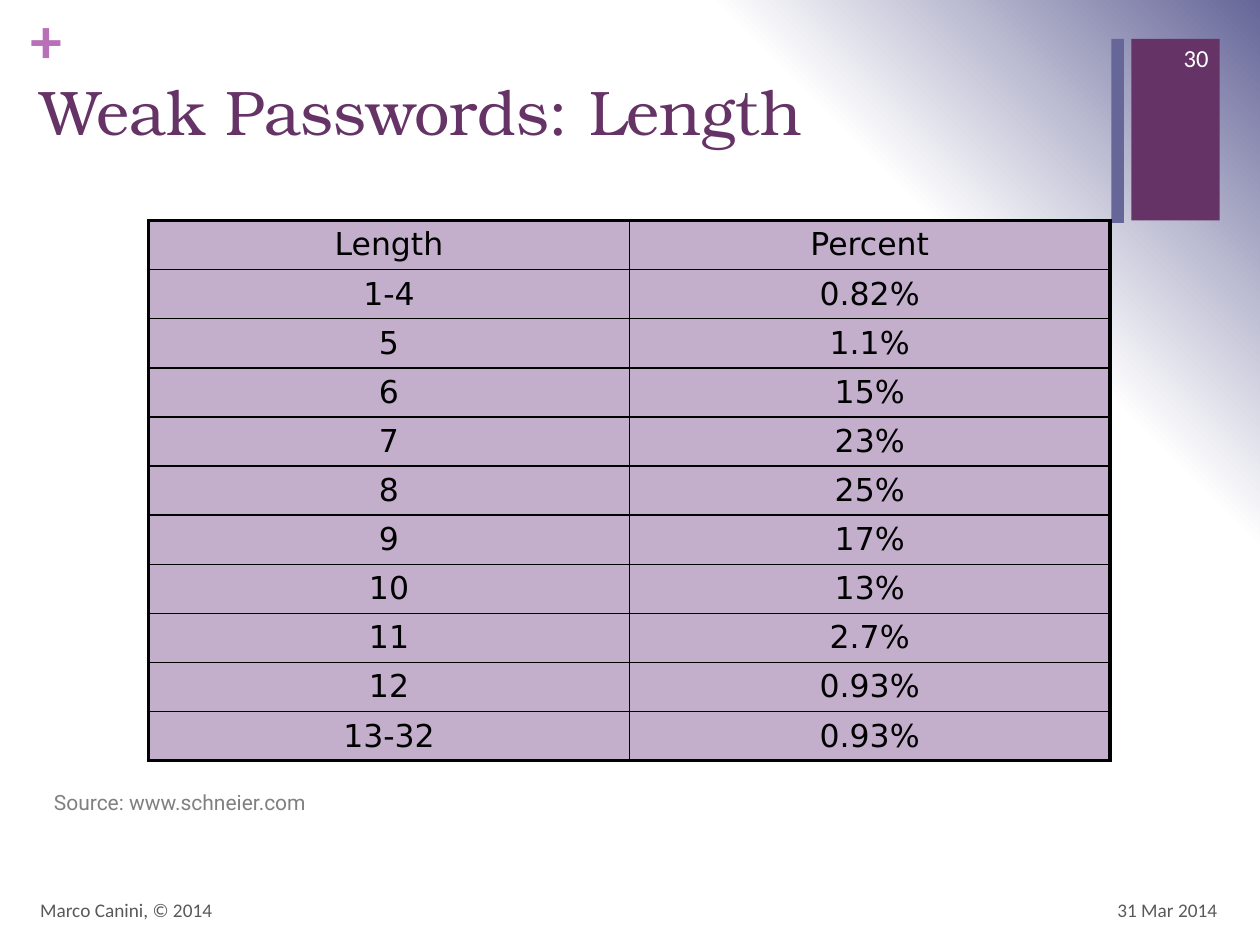
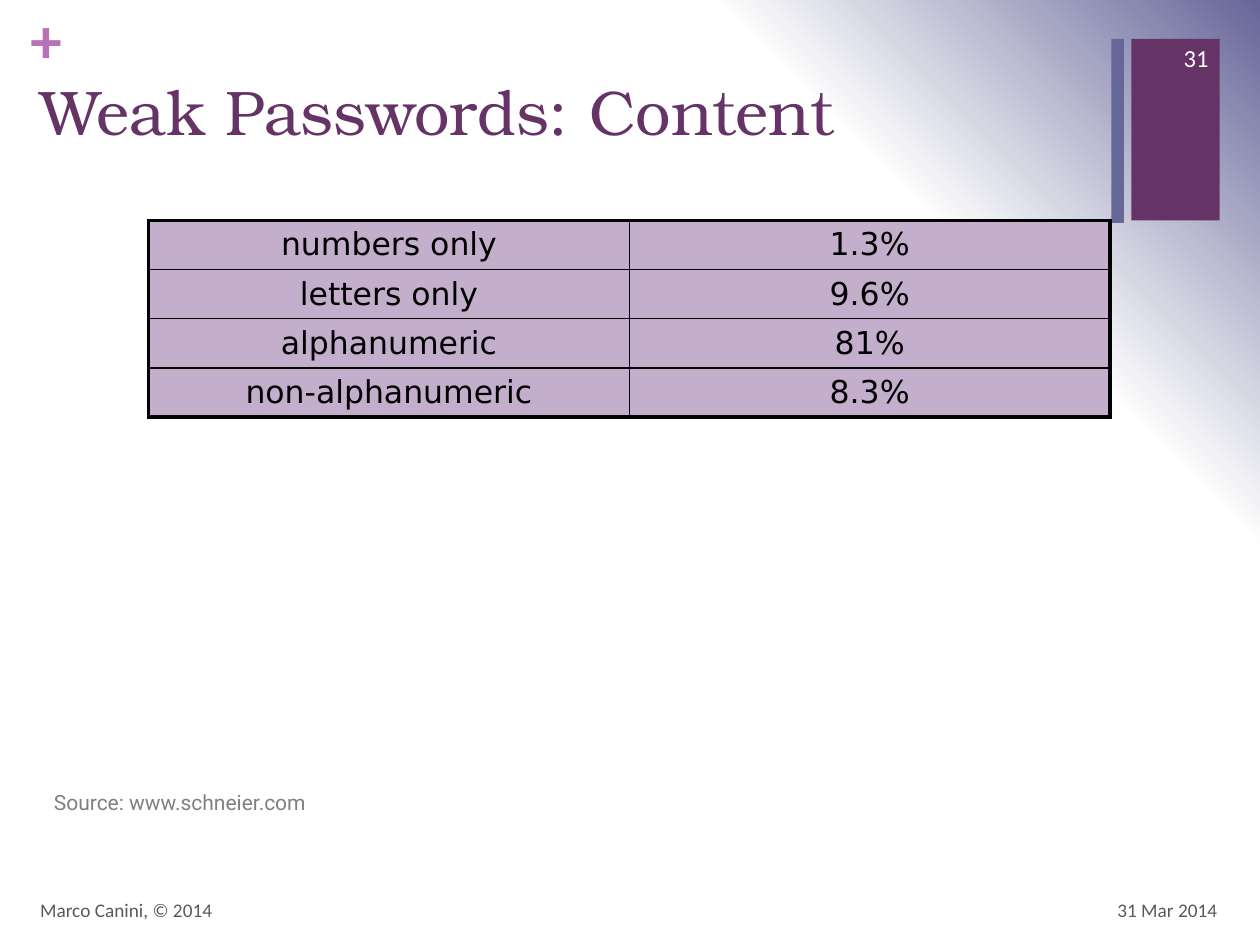
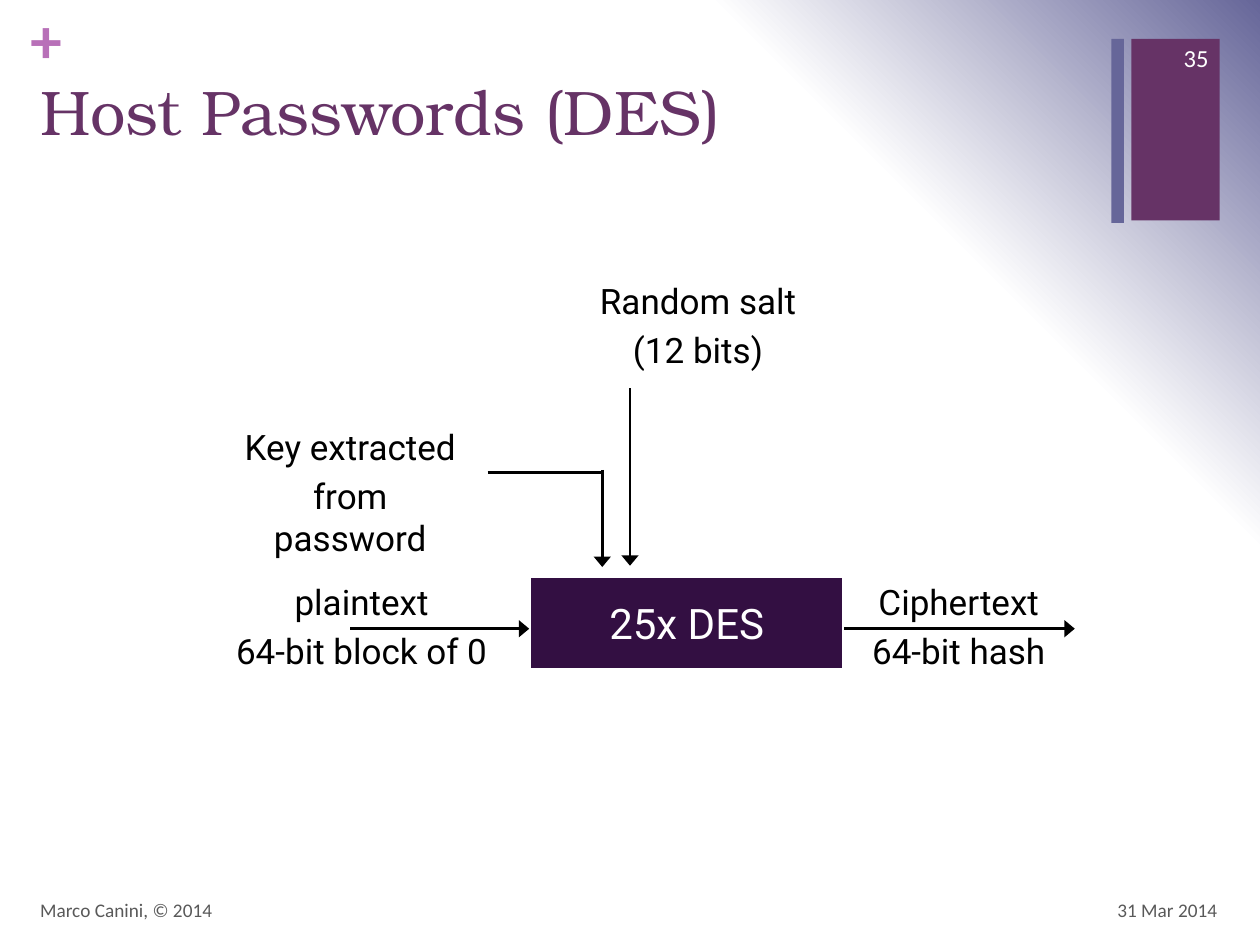
from lxml import etree
from pptx import Presentation
from pptx.dml.color import RGBColor
from pptx.enum.shapes import MSO_CONNECTOR, MSO_SHAPE
from pptx.enum.text import MSO_ANCHOR, PP_ALIGN
from pptx.oxml import parse_xml
from pptx.oxml.ns import nsdecls, qn
from pptx.util import Inches, Pt

RECT = MSO_SHAPE.RECTANGLE
LINE = MSO_CONNECTOR.STRAIGHT
TOP, MIDDLE = MSO_ANCHOR.TOP, MSO_ANCHOR.MIDDLE
LEFT, CENTER, RIGHT = PP_ALIGN.LEFT, PP_ALIGN.CENTER, PP_ALIGN.RIGHT

COLORS = {
    "plum": "663366", "slate": "666699", "orchid": "B870B8",
    "lilac": "C3AFCC", "night": "330F42", "white": "FFFFFF",
    "black": "000000", "gray": "808080", "dark": "595959",
}
SERIF, SANS, BODY, CELL = "TeX Gyre Bonum", "Calibri", "Roboto", "DejaVu Sans"
THIN, THICK = 1, 2.25
ROW = 0.39

LENGTHS = [
    ("Length", "Percent"), ("1-4", "0.82%"), ("5", "1.1%"), ("6", "15%"),
    ("7", "23%"), ("8", "25%"), ("9", "17%"), ("10", "13%"),
    ("11", "2.7%"), ("12", "0.93%"), ("13-32", "0.93%"),
]
CONTENT = [
    ("numbers only", "1.3%"), ("letters only", "9.6%"),
    ("alphanumeric", "81%"), ("non-alphanumeric", "8.3%"),
]


def rgb(name):
    return RGBColor.from_string(COLORS[name])


def inches(box):
    return [Inches(value) for value in box]


def style(par, font, size, color, align=LEFT, bold=False):
    par.alignment = align
    par.font.name, par.font.size, par.font.bold = font, Pt(size), bold
    par.font.color.rgb = rgb(color)


def add_text(slide, box, text, font, size, color, align=LEFT,
             anchor=TOP, bold=False, inset=True):
    """Add a wrapped text box; each line of text is a paragraph."""
    frame = slide.shapes.add_textbox(*inches(box)).text_frame
    frame.word_wrap = True
    frame.vertical_anchor = anchor
    if not inset:
        frame.margin_left = frame.margin_right = 0
        frame.margin_top = frame.margin_bottom = 0
    frame.text = text
    for index, par in enumerate(frame.paragraphs):
        style(par, font, size, color, align, bold)
        if index:
            par.space_before = Pt(size * 0.2)


def add_rect(slide, box, color):
    rect = slide.shapes.add_shape(RECT, *inches(box))
    rect.shadow.inherit = False
    rect.fill.solid()
    rect.fill.fore_color.rgb = rgb(color)
    rect.line.fill.background()
    return rect


def add_line(slide, start, end, arrow=True):
    line = slide.shapes.add_connector(LINE, *inches(start + end))
    line.line.width = Pt(1.5)
    line.line.color.rgb = rgb("black")
    if arrow:
        ln = line.line._get_or_add_ln()
        etree.SubElement(ln, qn("a:tailEnd"), type="triangle", w="lg")
    etree.SubElement(line._element.spPr, qn("a:effectLst"))


def paint_master(master):
    """Give every slide a glow that spreads from the upper right corner."""
    fill = master.background.fill
    fill.background()
    stops = "".join(
        f'<a:gs pos="{pos}"><a:srgbClr val="{COLORS[name]}"/></a:gs>'
        for pos, name in ((0, "white"), (75000, "white"), (100000, "slate")))
    glow = parse_xml(
        f'<a:gradFill {nsdecls("a")} rotWithShape="1"><a:gsLst>{stops}</a:gsLst>'
        '<a:path path="circle"><a:fillToRect t="100000" r="100000"/></a:path>'
        '</a:gradFill>')
    blank = master.element.find(".//" + qn("p:bgPr") + "/" + qn("a:noFill"))
    blank.getparent().replace(blank, glow)


def add_badge(slide, box, number):
    """Place the slim bar, the block and the slide number."""
    x, y, w, h = box
    add_rect(slide, (x + 0.16, y, w - 0.16, h - 0.02), "plum")
    add_rect(slide, (x, y, 0.1, h), "slate")
    add_text(slide, (x + 0.26, y - 0.05, 0.61, 0.4), number, SANS, 14,
             "white", RIGHT, MIDDLE)


def add_footer(slide, box):
    x, y, w, h = box
    for left, width, text, align in (
            (x, 6.7, "Marco Canini, © 2014", LEFT),
            (x + w - 2.33, 2.33, "31 Mar 2014", RIGHT)):
        add_text(slide, (left, y, width, h), text, SANS, 11, "dark",
                 align, MIDDLE)


def add_slide(deck, title, number):
    slide = deck.slides.add_slide(deck.slide_layouts[6])
    add_badge(slide, (8.82, 0.31, 0.86, 1.46), number)
    add_text(slide, (0.24, 0, 0.29, 0.61), "+", SANS, 36, "orchid",
             bold=True, inset=False)
    add_text(slide, (0.22, 0.53, 8.59, 1.22), title, SERIF, 36, "plum")
    add_footer(slide, (0.22, 7.02, 9.54, 0.4))
    return slide


def add_borders(cell, widths):
    props = cell._tc.get_or_add_tcPr()
    for side, width in zip("LRTB", widths):
        ln = etree.SubElement(props, qn(f"a:ln{side}"), w=str(Pt(width)))
        fill = etree.SubElement(ln, qn("a:solidFill"))
        etree.SubElement(fill, qn("a:srgbClr"), val=COLORS["black"])


def add_grid(slide, box, rows):
    """Add a table with thin inner lines and a thick frame."""
    count, width = len(rows), len(rows[0])
    table = slide.shapes.add_table(count, width, *inches(box)).table
    table.first_row = table.horz_banding = False
    for r, row in enumerate(rows):
        table.rows[r].height = Inches(box[3] / count)
        for c, text in enumerate(row):
            cell = table.cell(r, c)
            edges = (c == 0, c == width - 1, r == 0, r == count - 1)
            add_borders(cell, [THICK if edge else THIN for edge in edges])
            cell.fill.solid()
            cell.fill.fore_color.rgb = rgb("lilac")
            cell.vertical_anchor = MIDDLE
            cell.margin_top = cell.margin_bottom = Inches(0.04)
            cell.text = text
            style(cell.text_frame.paragraphs[0], CELL, 18, "black", CENTER)


def add_stats(deck, title, number, rows):
    """Add a slide with a table and its source."""
    slide = add_slide(deck, title, number)
    add_grid(slide, (1.18, 1.75, 7.63, ROW * len(rows)), rows)
    add_text(slide, (0.33, 6.22, 2.5, 0.3), "Source: www.schneier.com",
             BODY, 12, "gray")


def add_cipher(slide, box):
    """Draw the DES block with its inputs and its output."""
    x, y, w, h = box
    left, right, flow = x + 2.44, x + 4.94, y + 2.82
    block = add_rect(slide, (left, y + 2.4, right - left, 0.75), "night")
    block.line.color.rgb = rgb("white")
    block.line.width = Pt(2.25)
    block.text_frame.text = "25x DES"
    block.text_frame.vertical_anchor = MIDDLE
    style(block.text_frame.paragraphs[0], BODY, 24, "white", CENTER)

    for dx, dy, width, text in (
            (2.57, 0, 2.42, "Random salt\n(12 bits)"),
            (0.01, 1.16, 2.02, "Key extracted\nfrom password"),
            (0, 2.39, 2.22, "plaintext\n64-bit block of 0"),
            (5.05, 2.39, 1.6, "Ciphertext\n64-bit hash")):
        add_text(slide, (x + dx, y + dy, width, h - 2.39), text, BODY, 20,
                 "black", CENTER)

    bend, salt = x + 3.02, x + 3.24
    add_line(slide, (x + 2.11, y + 1.58), (bend, y + 1.58), arrow=False)
    add_line(slide, (bend, y + 1.56), (bend, y + 2.33))
    add_line(slide, (salt, y + 0.91), (salt, y + 2.32))
    add_line(slide, (x + 1.02, flow), (left, flow))
    add_line(slide, (right, flow), (x + w, flow))


def main():
    deck = Presentation()
    deck.slide_width, deck.slide_height = Inches(10), Inches(7.5)
    paint_master(deck.slide_master)
    add_stats(deck, "Weak Passwords: Length", "30", LENGTHS)
    add_stats(deck, "Weak Passwords: Content", "31", CONTENT)
    slide = add_slide(deck, "Host Passwords (DES)", "35")
    add_cipher(slide, (1.76, 2.17, 6.77, 3.23))
    deck.save("out.pptx")


if __name__ == "__main__":
    main()
